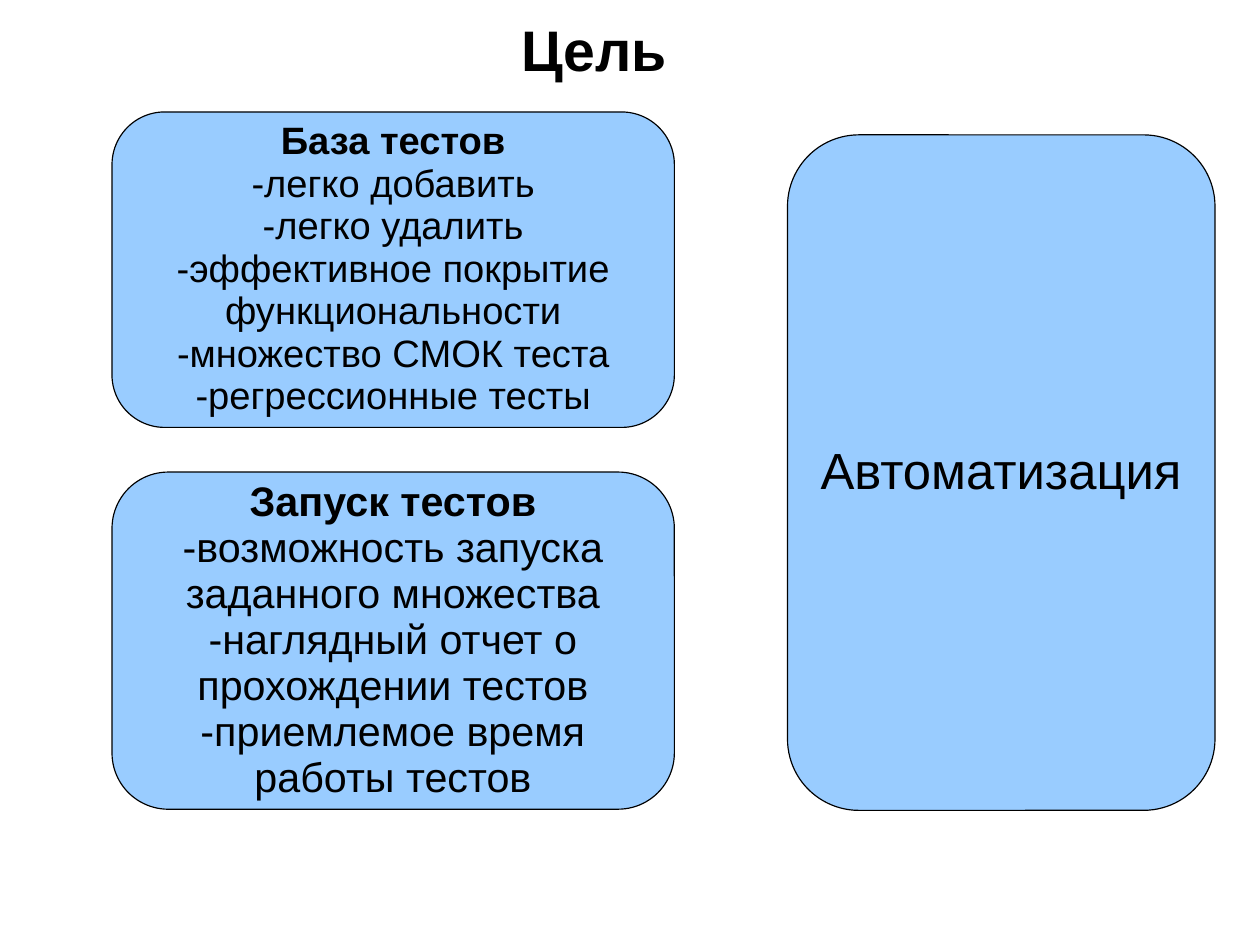
"""Build the slide on the goals of test automation."""
from dataclasses import dataclass

from pptx import Presentation
from pptx.dml.color import RGBColor
from pptx.enum import shapes, text
from pptx.util import Inches, Mm, Pt

SLIDE_SIZE = (Mm(280), Mm(210))
TITLE = "Цель"
TITLE_BOX = (1.97, 0.13, 6.46, 0.66)
CARDS = [
    {
        "box": (0.98, 0.98, 4.92, 2.76),
        "size": 24,
        "heading": "База тестов",
        "lines": [
            "-легко добавить",
            "-легко удалить",
            "-эффективное покрытие",
            "функциональности",
            "-множество СМОК теста",
            "-регрессионные тесты",
        ],
    },
    {
        "box": (0.98, 4.13, 4.92, 2.95),
        "size": 26,
        "heading": "Запуск тестов",
        "lines": [
            "-возможность запуска",
            "заданного множества",
            "-наглядный отчет о",
            "прохождении тестов",
            "-приемлемое время",
            "работы тестов",
        ],
    },
    {
        "box": (6.89, 1.18, 3.74, 5.91),
        "size": 32,
        "heading": None,
        "lines": ["Автоматизация"],
    },
]


@dataclass(frozen=True)
class Theme:
    """Colours, font and type settings of the slide."""
    font: str = "Arial"
    ink: RGBColor = RGBColor(0x00, 0x00, 0x00)
    card: RGBColor = RGBColor(0x99, 0xCC, 0xFF)
    title_size: int = 36
    line_width: float = 0.75
    line_spacing: float = 0.93
    corner: float = 0.167


THEME = Theme()


def write_lines(shape, lines, size, anchor):
    """Fill a shape with centred paragraphs of (wording, bold) pairs."""
    frame = shape.text_frame
    frame.word_wrap = False
    frame.auto_size = text.MSO_AUTO_SIZE.NONE
    frame.vertical_anchor = anchor
    frame.text = "\n".join(wording for wording, _ in lines)
    for paragraph, (_, bold) in zip(frame.paragraphs, lines):
        paragraph.alignment = text.PP_ALIGN.CENTER
        paragraph.line_spacing = THEME.line_spacing
        paragraph.font.name = THEME.font
        paragraph.font.size = Pt(size)
        paragraph.font.bold = bold
        paragraph.font.color.rgb = THEME.ink


def add_title(slide):
    """Place and format the slide title."""
    title = slide.shapes.title
    title.left, title.top, title.width, title.height = map(Inches, TITLE_BOX)
    write_lines(title, [(TITLE, True)], THEME.title_size, text.MSO_ANCHOR.TOP)


def add_card(slide, card):
    """Add one rounded card with its optional heading and lines."""
    shape = slide.shapes.add_shape(
        shapes.MSO_SHAPE.ROUNDED_RECTANGLE, *map(Inches, card["box"])
    )
    shape.adjustments[0] = THEME.corner
    shape.shadow.inherit = False
    shape.fill.solid()
    shape.fill.fore_color.rgb = THEME.card
    shape.line.color.rgb = THEME.ink
    shape.line.width = Pt(THEME.line_width)
    heading = [(card["heading"], True)] if card["heading"] else []
    lines = heading + [(line, False) for line in card["lines"]]
    write_lines(shape, lines, card["size"], text.MSO_ANCHOR.MIDDLE)


def main():
    """Build and save the presentation."""
    presentation = Presentation()
    presentation.slide_width, presentation.slide_height = SLIDE_SIZE
    slide = presentation.slides.add_slide(presentation.slide_layouts[5])
    add_title(slide)
    for card in CARDS:
        add_card(slide, card)
    presentation.save("out.pptx")


if __name__ == "__main__":
    main()
